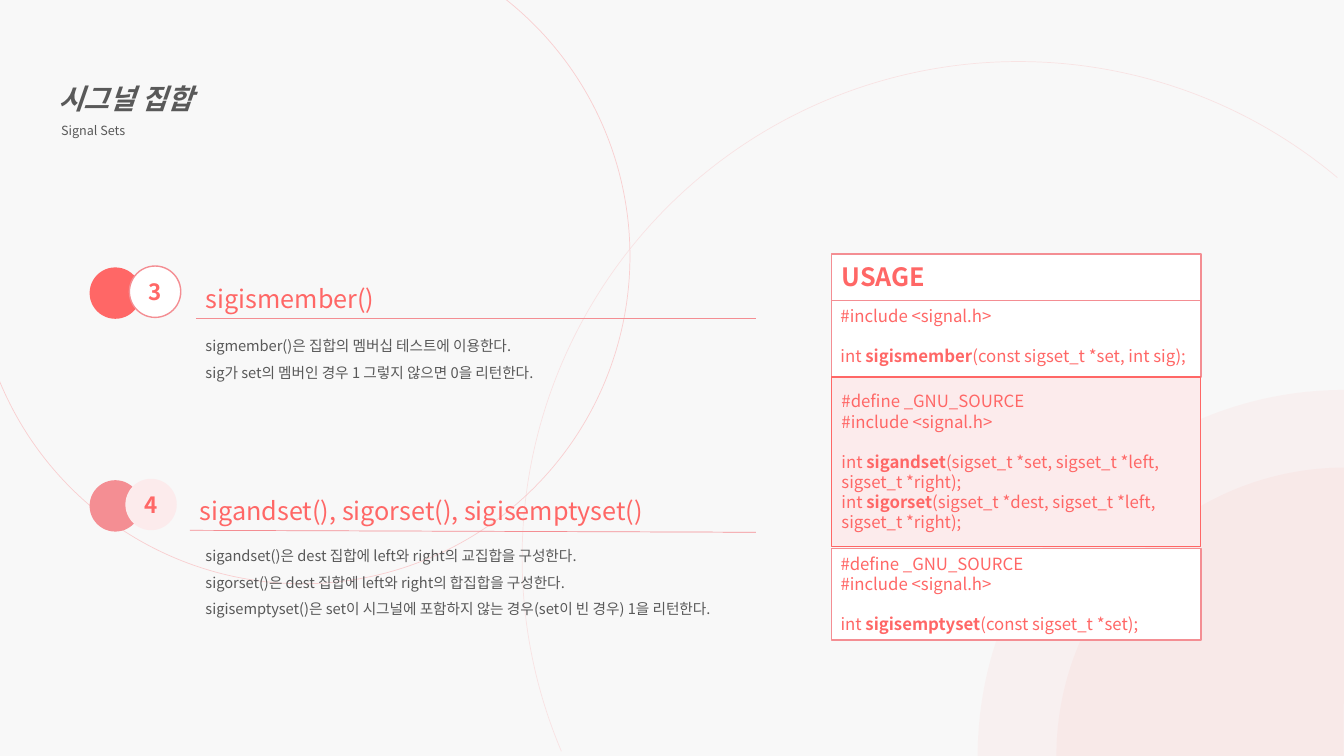
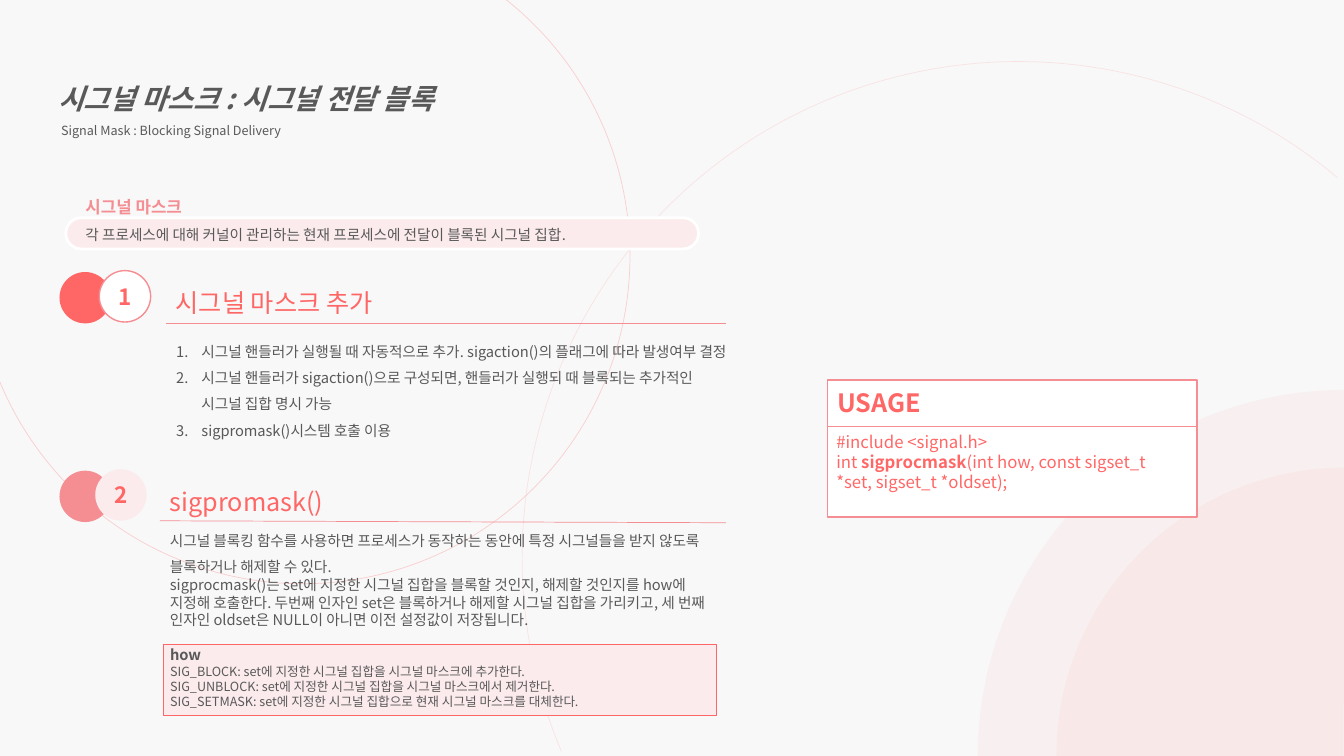
"""Build two slides on signal sets and signal masks."""
from lxml import etree
from pptx import Presentation
from pptx import util as u
from pptx.dml.color import RGBColor
from pptx.enum import shapes, text
from pptx.oxml.ns import qn

FONT = "Noto Sans CJK KR"
PAPER = RGBColor(0xF8, 0xF8, 0xF8)
WHITE = RGBColor(0xFF, 0xFF, 0xFF)
GRAY = RGBColor(0x59, 0x59, 0x59)
CORAL = RGBColor(0xFF, 0x67, 0x66)
ROSE = RGBColor(0xF4, 0x8E, 0x93)
BLUSH = RGBColor(0xFC, 0xEB, 0xEC)
RING = RGBColor(0xFA, 0xC6, 0xC8)

TITLE = (GRAY, {"size": u.Pt(20), "bold": True, "italic": True})
SUBTITLE = (GRAY, {"size": u.Pt(9)})
HEADING = (CORAL, {"size": u.Pt(18)})
USAGE = (CORAL, {"size": u.Pt(18), "bold": True})
NUMBER = (CORAL, {"size": u.Pt(16), "bold": True})
CODE = (CORAL, {"size": u.Pt(12)})
TERM = (ROSE, {"size": u.Pt(12), "bold": True})
BODY = (GRAY, {"size": u.Pt(10.5)})
BODY_BOLD = (GRAY, {"size": u.Pt(10.5), "bold": True})
SMALL = (GRAY, {"size": u.Pt(9)})

ARC = shapes.MSO_SHAPE.ARC
RECT = shapes.MSO_SHAPE.RECTANGLE
OVAL = shapes.MSO_SHAPE.OVAL
PILL = shapes.MSO_SHAPE.ROUNDED_RECTANGLE
LEFT = text.PP_ALIGN.LEFT
CODE_GAP = 14.4
DOT = 36.7


class SignalDeck:
    def __init__(self):
        self.deck = Presentation()
        self.deck.slide_width, self.deck.slide_height = u.Pt(960), u.Pt(540)
        self.slide = None

    def start(self, title, subtitle):
        self.slide = self.deck.slides.add_slide(self.deck.slide_layouts[6])
        fill = self.slide.background.fill
        fill.solid()
        fill.fore_color.rgb = PAPER
        self.arc(373, 44, 709, (94.23, 185.99), line=RING, alpha=42)
        self.arc(-18, -51, 468, (184.79, 94.76), line=RING, alpha=82)
        for x, y, size in ((754.6, 334, 412), (698.4, 278.6, 522.7)):
            self.arc(x, y, size, (107.64, 162.1), fill=CORAL, alpha=5)
        frame = self.box(34.5, 42.5, 636, 60)
        self.add_lines(frame, TITLE, title, line_spacing=1.5)
        self.add_lines(frame, SUBTITLE, subtitle, indent=2, line_spacing=1.5)

    def shape(self, kind, x, y, width, height, fill=None, line=None, weight=1):
        shape = self.slide.shapes.add_shape(kind, u.Pt(x), u.Pt(y), u.Pt(width), u.Pt(height))
        shape.shadow.inherit = False
        for part, color in ((shape.fill, fill), (shape.line.fill, line)):
            if color is None:
                part.background()
            else:
                part.solid()
                part.fore_color.rgb = color
        if line is not None:
            shape.line.width = u.Pt(weight)
        return shape

    def arc(self, x, y, size, angles, alpha, **paint):
        arc = self.shape(ARC, x, y, size, size, weight=0.5, **paint)
        for index, angle in enumerate(angles):
            arc.adjustments[index] = angle
        for color in arc.element.spPr.iter(qn("a:srgbClr")):
            etree.SubElement(color, qn("a:alpha"), val=str(alpha * 1000))

    def rule(self, x, y, end_x, end_y):
        rule = self.slide.shapes.add_connector(
            shapes.MSO_CONNECTOR.STRAIGHT, u.Pt(x), u.Pt(y), u.Pt(end_x), u.Pt(end_y))
        rule.line.color.rgb = ROSE
        rule.line.width = u.Pt(0.5)
        etree.SubElement(rule.element.spPr, qn("a:effectLst"))

    def box(self, x, y, width, height):
        frame = self.slide.shapes.add_textbox(
            u.Pt(x), u.Pt(y), u.Pt(width), u.Pt(height)).text_frame
        frame.word_wrap = True
        return frame

    def add_lines(self, frame, style, *lines, gap=0, indent=0, numbered=False, **layout):
        color, values = style
        for index, line in enumerate(lines):
            first = frame.paragraphs[0]
            para = frame.add_paragraph() if first.runs else first
            props = para._p.get_or_add_pPr()
            if indent:
                props.set("marL", str(u.Pt(indent)))
            if numbered:
                props.set("indent", str(-u.Pt(indent)))
                etree.SubElement(props, qn("a:buAutoNum"), type="arabicPeriod")
            if gap and index == 0:
                para.space_before = u.Pt(gap)
            for name, value in layout.items():
                setattr(para, name, value)
            parts = (line,) if isinstance(line, str) else line
            for position, part in enumerate(parts):
                span = para.add_run()
                span.text = part
                span.font.name = FONT
                span.font.color.rgb = color
                for name, value in values.items():
                    setattr(span.font, name, value)
                if position % 2:
                    span.font.bold = True
                etree.SubElement(span._r.get_or_add_rPr(), qn("a:ea"), typeface=FONT)

    def section(self, x, y, number, heading, strong):
        shift, drop = (0, 0) if strong else (4.3, 1.4)
        self.shape(OVAL, x, y, DOT, DOT, CORAL if strong else ROSE)
        badge = self.shape(OVAL, x + 28.4 - shift / 1.5, y - 1, DOT, DOT,
                           WHITE if strong else BLUSH, ROSE if strong else None)
        self.add_lines(badge.text_frame, NUMBER, number)
        left = x + 76 - shift
        self.add_lines(self.box(left, y + 7.5, 404, 29), HEADING, heading)
        self.rule(left, y + 36.5 - drop / 2, x + 476, y + 36.5 + drop / 2)

    def body(self, x, y, *lines, **layout):
        frame = self.box(x, y, 409, 65)
        self.add_lines(frame, BODY, *lines, line_spacing=1.5, **layout)
        return frame

    def code(self, frame, includes, calls, gap=CODE_GAP, **layout):
        self.add_lines(frame, CODE, *includes, **layout)
        self.add_lines(frame, CODE, *calls, gap=gap, **layout)

    def usage(self, x, y, height, includes, calls, gap=CODE_GAP):
        self.shape(RECT, x, y, 264, height, WHITE, ROSE)
        self.rule(x + 0.6, y + 33.2, x + 263.4, y + 33.2)
        self.add_lines(self.box(x, y + 2, 176, 29), USAGE, "USAGE")
        self.code(self.box(x - 0.7, y + 33.2, 263.5, 65.5), includes, calls, gap)


def build_sets(show):
    include = "#include <signal.h>"
    gnu = ("#define _GNU_SOURCE", include)
    show.start("시그널 집합", "Signal Sets")
    show.section(64, 191, "3", "sigismember()", True)
    show.body(139.7, 231,
              "sigmember()은 집합의 멤버십 테스트에 이용한다.",
              "sig가 set의 멤버인 경우 1 그렇지 않으면 0을 리턴한다.")
    show.section(64, 343, "4", "sigandset(), sigorset(), sigisemptyset()", False)
    show.body(139.7, 381,
              "sigandset()은 dest 집합에 left와 right의 교집합을 구성한다.",
              "sigorset()은 dest 집합에 left와 right의 합집합을 구성한다.",
              "sigisemptyset()은 set이 시그널에 포함하지 않는 경우(set이 빈 경우) 1을 리턴한다.")
    show.usage(594, 181.4, 88, (include,),
               (("int ", "sigismember", "(const sigset_t *set, int sig);"),))
    panel = show.shape(RECT, 594, 269.3, 263.5, 121, BLUSH, CORAL)
    show.code(panel.text_frame, gnu,
              (("int ", "sigandset", "(sigset_t *set, sigset_t *left, sigset_t *right);"),
               ("int ", "sigorset", "(sigset_t *dest, sigset_t *left, sigset_t *right);")),
              alignment=LEFT)
    show.shape(RECT, 594, 391.7, 264, 65.5, WHITE, ROSE)
    show.code(show.box(593.3, 391.7, 262, 65.5), gnu,
              (("int ", "sigisemptyset", "(const sigset_t *set);"),))


def build_mask(show):
    show.start("시그널 마스크 : 시그널 전달 블록", "Signal Mask : Blocking Signal Delivery")
    pill = show.shape(PILL, 47, 155.5, 452, 22.3, BLUSH, WHITE, 2)
    pill.adjustments[0] = 0.5
    show.add_lines(show.box(54, 129.6, 147, 26), TERM, "시그널 마스크", line_spacing=1.5)
    show.add_lines(show.box(54, 157.5, 451, 20), BODY,
                   "각 프로세스에 대해 커널이 관리하는 현재 프로세스에 전달이 블록된 시그널 집합.")
    show.section(42.5, 194.3, "1", "시그널 마스크 추가", True)
    show.body(118.8, 234.7,
              "시그널 핸들러가 실행될 때 자동적으로 추가. sigaction()의 플래그에 따라 발생여부 결정",
              "시그널 핸들러가 sigaction()으로 구성되면, 핸들러가 실행되 때 블록되는 추가적인 시그널 집합 명시 가능",
              "sigpromask()시스템 호출 이용", indent=18, numbered=True)
    show.section(42.5, 336.2, "2", "sigpromask()", False)
    frame = show.body(114.3, 370,
                      "시그널 블록킹 함수를 사용하면 프로세스가 동작하는 동안에 특정 시그널들을 받지 않도록 "
                      "블록하거나 해제할 수 있다.")
    show.add_lines(frame, BODY,
                   "sigprocmask()는 set에 지정한 시그널 집합을 블록할 것인지, 해제할 것인지를 how에 지정해 "
                   "호출한다. 두번째 인자인 set은 블록하거나 해제할 시그널 집합을 가리키고, 세 번째 인자인 "
                   "oldset은 NULL이 아니면 이전 설정값이 저장됩니다.")
    frame = show.shape(RECT, 116.8, 460, 395, 51, BLUSH, CORAL, 0.25).text_frame
    margins = {"margin_left": 4.7, "margin_top": 0, "margin_bottom": 3}
    for name, value in margins.items():
        setattr(frame, name, u.Pt(value))
    show.add_lines(frame, BODY_BOLD, "how", alignment=LEFT)
    show.add_lines(frame, SMALL,
                   "SIG_BLOCK: set에 지정한 시그널 집합을 시그널 마스크에 추가한다.",
                   "SIG_UNBLOCK: set에 지정한 시그널 집합을 시그널 마스크에서 제거한다.",
                   "SIG_SETMASK: set에 지정한 시그널 집합으로 현재 시그널 마스크를 대체한다.",
                   alignment=LEFT)
    show.usage(591, 271.4, 98, ("#include <signal.h>",),
               (("int ", "sigprocmask", "(int how, const sigset_t *set, sigset_t *oldset);"),), gap=0)


def main():
    show = SignalDeck()
    build_sets(show)
    build_mask(show)
    show.deck.save("out.pptx")


if __name__ == "__main__":
    main()
